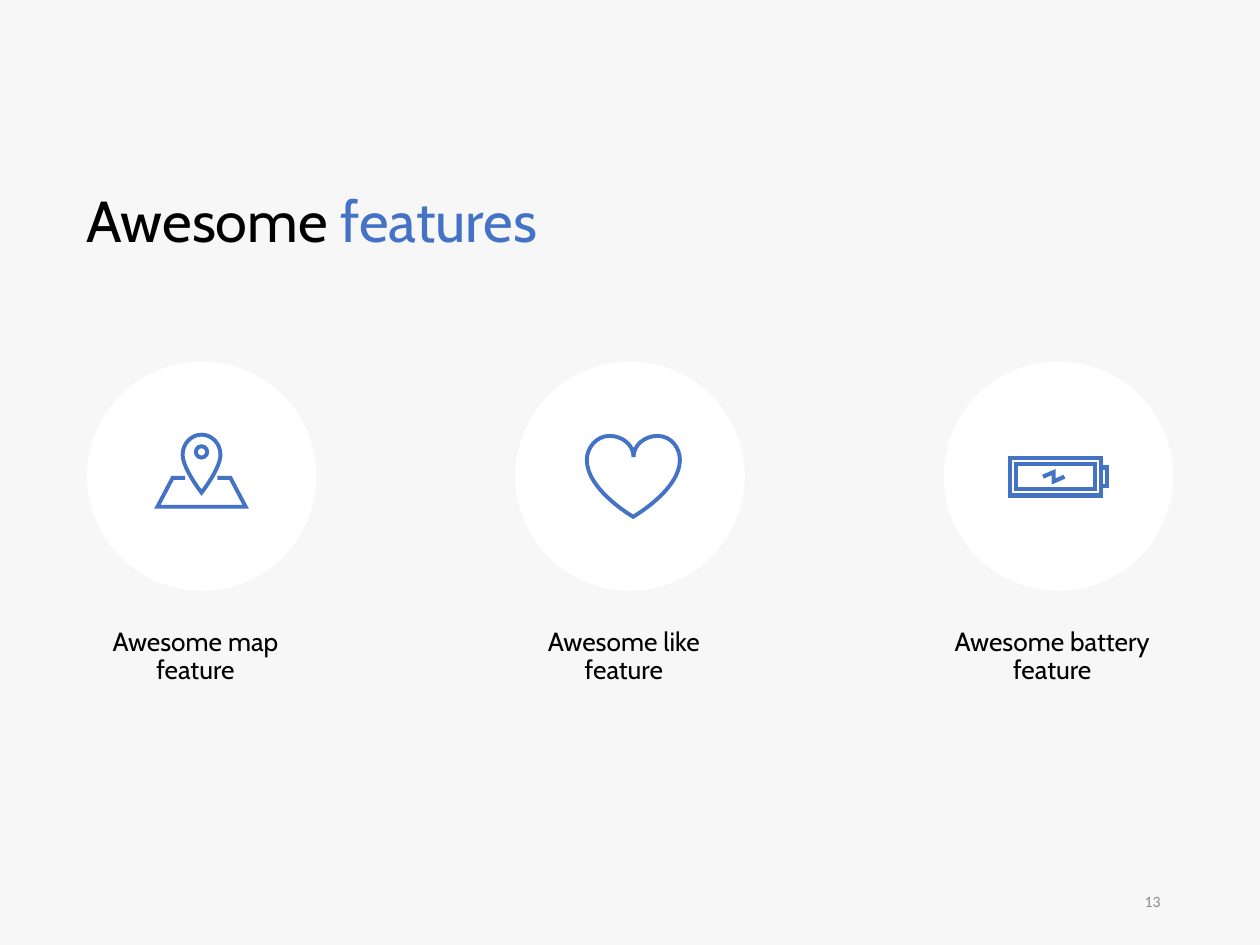
import pptx
import pptx.util
import pptx.dml.color
import pptx.enum.shapes
import pptx.enum.text
import pptx.oxml.ns
import lxml.etree

Pt = pptx.util.Pt
RGB = pptx.dml.color.RGBColor
SHAPE = pptx.enum.shapes.MSO_SHAPE
ALIGN = pptx.enum.text.PP_ALIGN
ANCHOR = pptx.enum.text.MSO_ANCHOR
qn = pptx.oxml.ns.qn

BACKGROUND = RGB(0xF7, 0xF7, 0xF7)
WHITE = RGB(0xFF, 0xFF, 0xFF)
BLACK = RGB(0, 0, 0)
BLUE = RGB(0x44, 0x72, 0xC4)
GRAY = RGB(0x8C, 0x8C, 0x8C)
DISC = 131
STEP = 244.8


def outline(sp, weight):
    """Give a shape a blue mitred outline with no fill or shadow."""
    sp.shadow.inherit = False
    sp.fill.background()
    sp.line.color.rgb = BLUE
    sp.line.width = Pt(weight)
    ln = sp._element.spPr.find(qn("a:ln"))
    lxml.etree.SubElement(ln, qn("a:miter")).set("lim", "800000")


def add_outline(shapes, kind, left, top, width, height, weight):
    """Add an outlined preset shape."""
    sp = shapes.add_shape(kind, Pt(left), Pt(top), Pt(width), Pt(height))
    outline(sp, weight)


def add_stroke(shapes, left, top, points, weight, close=False):
    """Add an outlined freeform placed relative to a corner."""
    placed = [(Pt(left + x), Pt(top + y)) for x, y in points]
    builder = shapes.build_freeform(*placed[0], scale=1.0)
    builder.add_line_segments(placed[1:], close=close)
    sp = builder.convert_to_shape()
    outline(sp, weight)
    return sp


def add_curve(shapes, left, top, start, segments, weight):
    """Add a closed outline of cubic Bezier segments."""
    nodes = [start] + [segment[-1] for segment in segments]
    sp = add_stroke(shapes, left, top, nodes, weight, close=True)
    lines = list(sp._element.iter(qn("a:lnTo")))
    for line, segment in zip(lines, segments):
        bezier = lxml.etree.Element(qn("a:cubicBezTo"))
        for x, y in segment:
            pt = lxml.etree.SubElement(bezier, qn("a:pt"))
            pt.set("x", str(Pt(left + x) - sp.left))
            pt.set("y", str(Pt(top + y) - sp.top))
        line.getparent().replace(line, bezier)


def draw_map(s, left, top):
    """Draw a map pin over a folded map."""
    pin = [((76.3, 46.8), (71.3, 41.8), (65.5, 41.8)),
           ((59.7, 41.8), (54.7, 46.8), (54.7, 53.3)),
           ((54.7, 61.2), (65.5, 74.9), (65.5, 74.9)),
           ((65.5, 74.9), (76.3, 61.2), (76.3, 53.3))]
    sheet = [(56.2, 66.5), (49, 66.5), (40.3, 83), (65.5, 83),
             (90.7, 83), (82, 66.5), (74.5, 66.5)]
    shapes = s.shapes.add_group_shape().shapes
    add_outline(shapes, SHAPE.OVAL, left + 62.2, top + 48.4, 6.5, 6.5, 2.25)
    add_curve(shapes, left, top, (76.3, 53.3), pin, 2.25)
    add_stroke(shapes, left, top, sheet, 2.25)


def draw_heart(s, left, top):
    """Draw a heart."""
    heart = [((40.8, 73.4), (67.3, 88.7), (67.3, 88.7)),
             ((67.3, 88.7), (94, 73.4), (94, 56.2)),
             ((94, 49.7), (89.3, 42.5), (81.2, 42.5)),
             ((74.2, 42.5), (67.5, 47.5), (67.5, 54.5)),
             ((67.5, 47.5), (61, 42.5), (53.8, 42.5)),
             ((46, 42.5), (40.8, 49.7), (40.8, 56.2))]
    add_curve(s.shapes, left, top, (40.8, 56.2), heart, 2.25)


def draw_battery(s, left, top):
    """Draw a charging battery."""
    shapes = s.shapes.add_group_shape().shapes
    add_outline(shapes, SHAPE.RECTANGLE, left + 38, top + 55, 52, 21.6, 2.38)
    add_stroke(shapes, left, top, [(90, 60.5), (93.4, 60.5), (93.4, 71.3), (90, 71.3)], 2.38)
    add_outline(shapes, SHAPE.RECTANGLE, left + 41.3, top + 58.5, 45, 14.4, 2.38)
    add_stroke(shapes, left, top, [(56.7, 65.8), (62.8, 63.2), (62.8, 68.5), (69, 65.8)], 2.38)


def add_run(p, text, size, color, font="Cabin"):
    """Append a formatted run to a paragraph."""
    r = p.add_run()
    r.text = text
    r.font.size = Pt(size)
    r.font.name = font
    r.font.color.rgb = color


def set_frame(sp, anchor, align, left_inset, spacing=0.9):
    """Set up a text frame and return its first paragraph."""
    tf = sp.text_frame
    tf.word_wrap = True
    tf.auto_size = pptx.enum.text.MSO_AUTO_SIZE.NONE
    tf.vertical_anchor = anchor
    tf.margin_left, tf.margin_right = Pt(left_inset), Pt(7.2)
    tf.margin_top = tf.margin_bottom = Pt(3.6)
    p = tf.paragraphs[0]
    p.alignment = align
    p.line_spacing = spacing
    return p


def add_title(s, left, top, width, height):
    """Place and fill the title."""
    sp = s.shapes.title
    sp.left, sp.top, sp.width, sp.height = Pt(left), Pt(top), Pt(width), Pt(height)
    p = set_frame(sp, ANCHOR.TOP, ALIGN.LEFT, 0)
    add_run(p, "Awesome ", 33, BLACK)
    add_run(p, "features", 33, BLUE)


def add_feature(s, left, top, draw_icon, caption):
    """Add a white disc with its icon and the caption below."""
    sp = s.shapes.add_shape(SHAPE.OVAL, Pt(left), Pt(top), Pt(DISC), Pt(DISC))
    sp.shadow.inherit = False
    sp.fill.solid()
    sp.fill.fore_color.rgb = WHITE
    sp.line.fill.background()
    draw_icon(s, left, top)
    sp = s.shapes.add_textbox(Pt(left + 5.8), Pt(top + 149), Pt(119.5), Pt(40.3))
    add_run(set_frame(sp, ANCHOR.TOP, ALIGN.CENTER, 0), caption, 15, BLACK)


def add_page_number(s, left, top, width, height):
    """Add the page number."""
    sp = s.shapes.add_textbox(Pt(left), Pt(top), Pt(width), Pt(height))
    p = set_frame(sp, ANCHOR.MIDDLE, ALIGN.RIGHT, 7.2, 1.0)
    add_run(p, "13", 9, GRAY, "Calibri")


def main():
    """Build the slide and save it."""
    prs = pptx.Presentation()
    prs.slide_width, prs.slide_height = Pt(720), Pt(540)
    s = prs.slides.add_slide(prs.slide_layouts[5])
    s.background.fill.solid()
    s.background.fill.fore_color.rgb = BACKGROUND
    add_title(s, 49.7, 106.6, 265, 43.2)
    features = [(draw_map, "Awesome map feature"),
                (draw_heart, "Awesome like feature"),
                (draw_battery, "Awesome battery feature")]
    for i, (draw_icon, caption) in enumerate(features):
        add_feature(s, 49.7 + i * STEP, 206.6, draw_icon, caption)
    add_page_number(s, 508.3, 500.4, 162, 28.8)
    prs.save("out.pptx")


if __name__ == "__main__":
    main()
